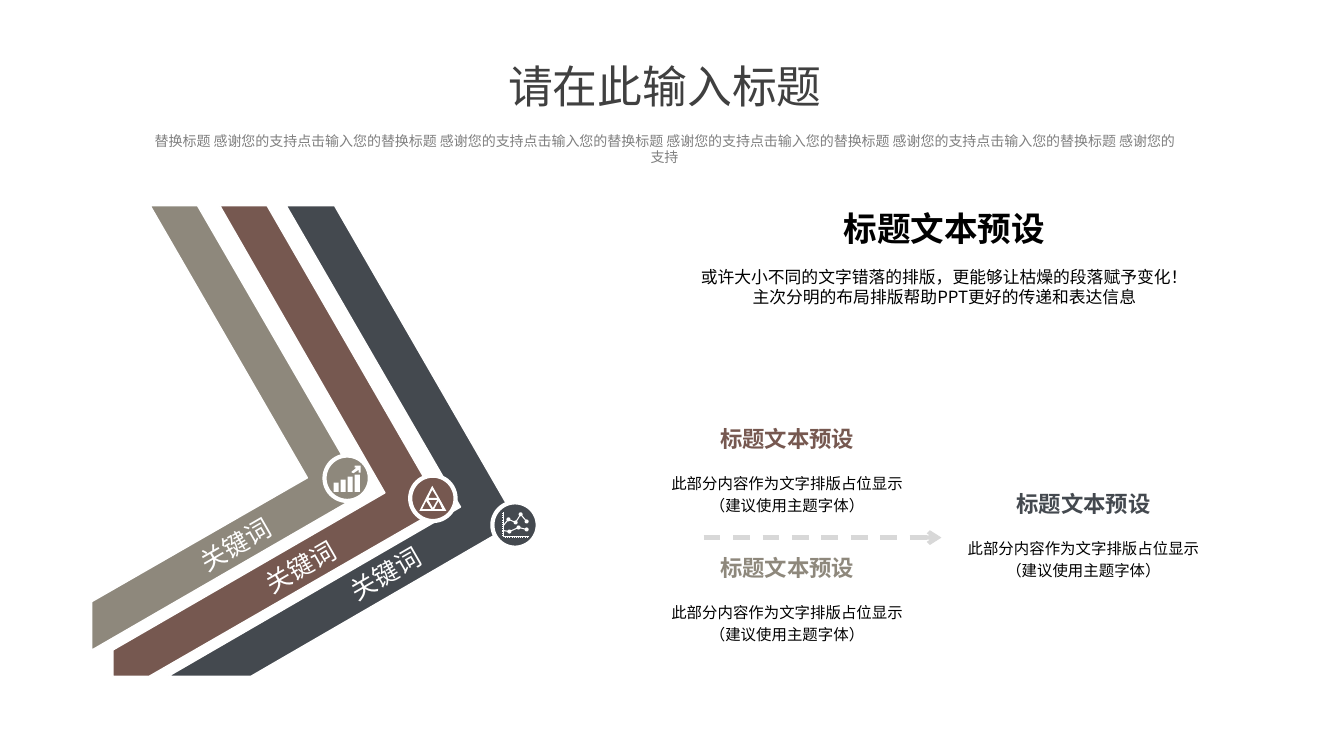
from typing import NamedTuple

from lxml import etree
from pptx import Presentation
from pptx.dml.color import RGBColor
from pptx.enum import dml, shapes, text
from pptx.oxml import ns
from pptx.util import Pt

FONT = "Noto Sans CJK SC"
WHITE, BLACK = "FFFFFF", "000000"
DARK, BROWN, BEIGE = "44494F", "765850", "8E887C"
HEADING = "标题文本预设"
DETAIL = "此部分内容作为文字排版占位显示\v（建议使用主题字体）"
Points = list[tuple[float, float]]


class Band(NamedTuple):
    color: str
    outline: Points
    badge: tuple[float, float]
    label: tuple[float, float]


class Block(NamedTuple):
    color: str
    left: float
    top: float


BANDS = [
    Band(DARK, [(204.5, 146.9), (239, 146.9), (369.4, 373), (179.3, 483.1),
                (120.2, 483.1), (329, 362.2)], (351.7, 358.8), (244.1, 400.3)),
    Band(BROWN, [(157, 146.9), (190.8, 146.9), (315.4, 362.9), (106.6, 483.1),
                 (80.6, 483.1), (80.6, 464.4), (275, 352.1)], (293, 339.8), (183.1, 395.3)),
    Band(BEIGE, [(107.3, 146.9), (141.1, 146.9), (259.9, 352.1), (65.5, 464.4),
                 (65.5, 429.8), (219.6, 341.3)], (231.8, 325.4), (136.8, 379.4)),
]
BLOCKS = [Block(DARK, 672.5, 344.4), Block(BROWN, 460.8, 298.1), Block(BEIGE, 460.8, 390.2)]
BADGE_SIZE = 32.4
LABEL_WIDTH, LABEL_HEIGHT = 62.6, 18.7

# Icon outlines, measured from the badge corner
TRIANGLES: list[Points] = [
    [(15.8, 7.2), (6.5, 25.2), (25.9, 25.2)],
    [(15.8, 10.1), (19.4, 15.8), (13, 15.8)],
    [(8.6, 23.8), (11.5, 18), (15.1, 23.8)],
    [(13, 17.3), (19.4, 17.3), (16.2, 23)],
    [(20.2, 18), (23, 23.8), (17.3, 23.8)],
]
RISING_ARROW: Points = [(21.6, 7.2), (25.9, 7.2), (25.9, 12.2), (24.5, 12.2), (24.5, 10.1),
                        (20.9, 12.6), (19.4, 12.2), (19.4, 11.5), (23, 8.6), (21.6, 8.6)]
BAR_TOPS = [19.4, 17.3, 15.1, 13.7]
TRENDS: list[Points] = [
    [(7.9, 16.6), (11.5, 12.2), (16.6, 14.4), (20.2, 8.6), (24.5, 13.7)],
    [(7.9, 20.2), (12.2, 20.9), (18.7, 18), (24.5, 19.4)],
]
TICK_COUNT, TICK_STEP = 11, 1.56


def rgb(color: str) -> RGBColor:
    return RGBColor.from_string(color)


def paint(sp, fill: str | None = None, line: str | None = None, width: float = 1) -> None:
    sp.shadow.inherit = False
    if fill:
        sp.fill.solid()
        sp.fill.fore_color.rgb = rgb(fill)
    else:
        sp.fill.background()
    if line:
        sp.line.color.rgb = rgb(line)
        sp.line.width = Pt(width)
    else:
        sp.line.fill.background()


def draw_outline(s, contours: list[Points], origin=(0, 0), closed: bool = True, **style):
    dx, dy = origin
    moved = [[(Pt(x + dx), Pt(y + dy)) for x, y in c] for c in contours]
    builder = s.shapes.build_freeform(*moved[0][0], scale=1.0)
    for i, contour in enumerate(moved):
        if i:
            builder.move_to(*contour[0])
        builder.add_line_segments(contour[1:], close=closed)
    sp = builder.convert_to_shape()
    paint(sp, **style)
    return sp


def draw_circle(s, left: float, top: float, size: float, **style) -> None:
    sp = s.shapes.add_shape(shapes.MSO_SHAPE.OVAL, Pt(left), Pt(top), Pt(size), Pt(size))
    paint(sp, **style)


def write(tf, content: str, *, size: float, color: str = BLACK, bold: bool = False,
          leading: float | None = None, wrap: bool = True, margin: bool = True) -> None:
    """Fill a frame with centred text: \\n starts a paragraph, \\v breaks a line."""
    tf.word_wrap = wrap
    tf.auto_size = text.MSO_AUTO_SIZE.NONE
    tf.vertical_anchor = text.MSO_ANCHOR.MIDDLE
    if not margin:
        tf.margin_left = tf.margin_right = tf.margin_top = tf.margin_bottom = 0
    tf.text = content
    for p in tf.paragraphs:
        p.alignment = text.PP_ALIGN.CENTER
        if leading:
            p.line_spacing = Pt(leading)
        for r in p.runs:
            r.font.size, r.font.bold = Pt(size), bold
            r.font.color.rgb = rgb(color)
            r.font.name = FONT
            etree.SubElement(r.font._element, ns.qn("a:ea"), typeface=FONT)


def add_text(s, content: str, box: tuple[float, float, float, float], **style) -> None:
    write(s.shapes.add_textbox(*map(Pt, box)).text_frame, content, **style)


def draw_label(s, content: str, origin) -> None:
    frame: Points = [(0, 0), (LABEL_WIDTH, 0), (LABEL_WIDTH, LABEL_HEIGHT), (0, LABEL_HEIGHT)]
    sp = draw_outline(s, [frame], origin)
    sp.rotation = 330
    write(sp.text_frame, content, size=18.2, color=WHITE, wrap=False, margin=False)


def draw_trend_icon(s, origin) -> None:
    axes: list[Points] = [[(7.9, 7.2), (7.9, 24.5), (26, 24.5)]]
    for i in range(TICK_COUNT):
        x, y = 9.4 + i * TICK_STEP, 8 + i * TICK_STEP
        axes += [[(x, 23.9), (x, 25.2)], [(7.2, y), (8.6, y)]]
    draw_outline(s, axes, origin, closed=False, line=WHITE, width=0.75)
    for trend in TRENDS:
        draw_outline(s, [trend], origin, closed=False, line=WHITE, width=0.75)
        for x, y in trend[1:]:
            draw_circle(s, origin[0] + x - 1.45, origin[1] + y - 1.45, 2.9, fill=WHITE)


def draw_triangle_icon(s, origin) -> None:
    draw_outline(s, TRIANGLES, origin, fill=WHITE)


def draw_bar_icon(s, origin) -> None:
    bars: list[Points] = []
    for i, top in enumerate(BAR_TOPS):
        x = 6.5 + 5.04 * i
        bars.append([(x, top), (x + 3.6, top), (x + 3.6, 25.9), (x, 25.9)])
    draw_outline(s, bars + [RISING_ARROW], origin, fill=WHITE)


def draw_arrow(s, left: float, right: float, y: float) -> None:
    c = s.shapes.add_connector(shapes.MSO_CONNECTOR.STRAIGHT, Pt(left), Pt(y), Pt(right), Pt(y))
    c.line.color.rgb = rgb("D8D8D8")
    c.line.width = Pt(3)
    c.line.dash_style = dml.MSO_LINE.DASH
    etree.SubElement(c.line._get_or_add_ln(), ns.qn("a:tailEnd"), type="arrow")
    etree.SubElement(c._element.spPr, ns.qn("a:effectLst"))


def main() -> None:
    prs = Presentation()
    prs.slide_width, prs.slide_height = Pt(960), Pt(540)
    s = prs.slides.add_slide(prs.slide_layouts[5])

    # Title and subtitle
    title = s.shapes.title
    title.left, title.top, title.width, title.height = map(Pt, (352, 31, 246.2, 45.4))
    write(title.text_frame, "请在此输入标题", size=32, color="404040", leading=53, wrap=False)
    phrase = "替换标题 感谢您的支持点击输入您的"
    add_text(s, phrase * 4 + "替换标题 感谢您的\n支持", (62.8, 90.7, 823.7, 31.7),
             size=10, color="808080", leading=11.5)

    # Bent bands, then the badges and labels above them
    for band in BANDS:
        draw_outline(s, [band.outline], fill=band.color, line=WHITE)
    icons = [draw_trend_icon, draw_triangle_icon, draw_bar_icon]
    for band, draw_icon in zip(BANDS, icons):
        draw_circle(s, *band.badge, BADGE_SIZE, fill=band.color, line=WHITE, width=3)
        draw_icon(s, band.badge)
        draw_label(s, "关键词", band.label)

    # Lead text
    add_text(s, HEADING, (473, 144, 403.2, 38), size=24, bold=True, wrap=False)
    add_text(s, "或许大小不同的文字错落的排版，更能够让枯燥的段落赋予变化！\v"
             "主次分明的布局排版帮助PPT更好的传递和表达信息",
             (473, 181.8, 403.2, 46.1), size=12, leading=14.4)

    # Detail blocks and the arrow between them
    for block in BLOCKS:
        add_text(s, HEADING, (block.left, block.top, 203, 30.2),
                 size=16, color=block.color, bold=True, wrap=False)
        add_text(s, DETAIL, (block.left, block.top + 30.2, 203, 46.8), size=11, leading=16)
    draw_arrow(s, 502.6, 672.5, 384)

    prs.save("out.pptx")


if __name__ == "__main__":
    main()
